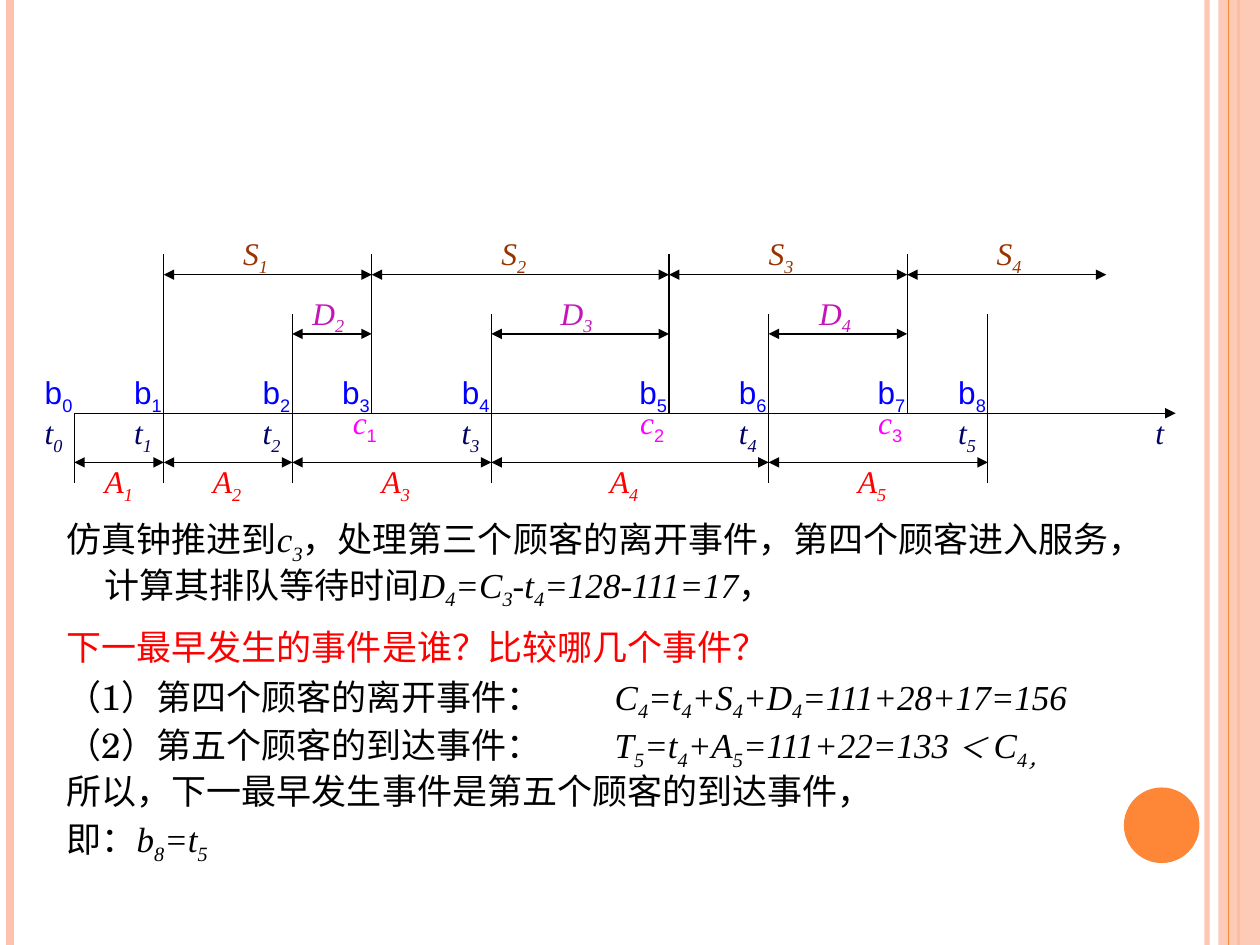
from pptx import Presentation
from pptx.dml.color import RGBColor
from pptx.enum.shapes import MSO_CONNECTOR, MSO_SHAPE
from pptx.enum.text import MSO_AUTO_SIZE
from pptx.oxml.ns import qn
from pptx.util import Inches, Pt
from lxml.etree import SubElement

SERIF, CJK, SANS = "Times New Roman", "TeX Gyre Schola", "Arial"
PEACH, ORANGE, BLACK, RED = "FEC3AE", "FE8637", "000000", "FF0000"


def rgb(value):
    return RGBColor.from_string(value)


def set_alpha(fill, percent):
    color = fill._xPr.find(qn("a:solidFill"))[0]
    SubElement(color, qn("a:alpha"), val=str(percent * 1000))


def split_subscripts(text):
    """Yield (text, is_subscript); an underscore lowers the next character."""
    first, *rest = text.split("_")
    pieces = [(first, False)]
    for part in rest:
        pieces += [(part[0], True), (part[1:], False)]
    return [piece for piece in pieces if piece[0]]


class Diagram:
    # letter: colour, letter font, subscript font, box width
    LABELS = {
        "b": ("0000FF", SANS, SANS, 0.31),
        "t": ("000066", SERIF, SERIF, 0.24),
        "c": ("FF00FF", SERIF, SANS, 0.24),
        "A": (RED, SERIF, SERIF, 0.24),
        "S": ("993300", SERIF, SERIF, 0.24),
        "D": ("C416B8", SERIF, SERIF, 0.31),
    }

    def __init__(self, slide):
        self.slide = slide

    def line(self, x1, y1, x2, y2, color=BLACK, width=0.75, heads=(), opacity=100):
        s = self.slide.shapes.add_connector(
            MSO_CONNECTOR.STRAIGHT, Inches(x1), Inches(y1), Inches(x2), Inches(y2))
        s.line.color.rgb = rgb(color)
        s.line.width = Pt(width)
        if opacity < 100:
            set_alpha(s.line.fill, opacity)
        for head in heads:
            SubElement(s.line._get_or_add_ln(), qn("a:" + head), type="triangle")
        SubElement(s._element.spPr, qn("a:effectLst"))

    def span(self, x1, x2, y):
        self.line(x1, y, x2, y, heads=("headEnd", "tailEnd"))

    def shape(self, kind, x, y, w, h, color, opacity=100):
        s = self.slide.shapes.add_shape(kind, Inches(x), Inches(y), Inches(w), Inches(h))
        s.shadow.inherit = False
        s.fill.solid()
        s.fill.fore_color.rgb = rgb(color)
        s.line.fill.background()
        if opacity < 100:
            set_alpha(s.fill, opacity)

    def text_frame(self, x, y, w, h):
        s = self.slide.shapes.add_textbox(Inches(x), Inches(y), Inches(w), Inches(h))
        s.text_frame.word_wrap = True
        return s.text_frame

    def run(self, p, text, size, font, color, italic, lowered):
        r = p.add_run()
        r.text = text
        r.font.size = Pt(size)
        r.font.name = font
        r.font.italic = italic
        r.font.color.rgb = rgb(color)
        if lowered:
            r._r.get_or_add_rPr().set("baseline", "-25000")

    def label(self, text, x, y):
        color, font, sub_font, width = self.LABELS[text[0]]
        tf = self.text_frame(x, y, width, 0.34)
        tf.margin_left = tf.margin_right = tf.margin_top = tf.margin_bottom = 0
        tf.auto_size = MSO_AUTO_SIZE.SHAPE_TO_FIT_TEXT
        for piece, lowered in split_subscripts(text):
            name = sub_font if lowered else font
            self.run(tf.paragraphs[0], piece, 18, name, color, name == SERIF, lowered)

    def body(self, x, y, w, h, paragraphs):
        """Write paragraphs of text in which $...$ encloses a formula."""
        tf = self.text_frame(x, y, w, h)
        for i, (text, color, spacing, before) in enumerate(paragraphs):
            p = tf.add_paragraph() if i else tf.paragraphs[0]
            p.line_spacing = spacing
            p.space_before = Pt(before)
            pPr = p._p.get_or_add_pPr()
            if "\t" in text:
                tabs = SubElement(pPr, qn("a:tabLst"))
                SubElement(tabs, qn("a:tab"), pos=str(Inches(4.35)), algn="l")
            else:
                pPr.set("marL", str(Inches(0.3)))
                pPr.set("indent", str(Inches(-0.3)))
            for j, part in enumerate(text.split("$")):
                formula = j % 2 == 1
                less = part == "＜"
                font = SERIF if formula or less else CJK
                for piece, lowered in split_subscripts(part):
                    self.run(p, piece, 16 if less else 20, font, color,
                             formula or less, lowered)


def draw_frame(d):
    d.line(9.58, 0, 9.58, 7.5, PEACH, 3, opacity=93)
    d.line(0.08, 0, 0.08, 7.5, PEACH, 4.5)
    d.line(9.83, 0, 9.83, 7.5, ORANGE, 1.5)
    d.shape(MSO_SHAPE.RECTANGLE, 9.67, 0, 0.33, 7.5, PEACH, 87)
    d.line(9.75, 0, 9.75, 7.5, ORANGE, 0.75)
    d.shape(MSO_SHAPE.OVAL, 8.92, 6.25, 0.6, 0.6, ORANGE)


def draw_timeline(d):
    axis, bottom, service_top, delay_top = 3.28, 3.83, 2.02, 2.49
    service_y, delay_y, arrival_y = 2.18, 2.65, 3.67
    offset = 0.235
    arrivals = [0.59, 1.3, 2.32, 3.9, 6.1, 7.84]
    departures = [2.95, 5.31, 7.2]

    d.line(arrivals[0], axis, 9.33, axis, heads=("tailEnd",))
    tops = [axis, service_top] + [delay_top] * 4
    for i, (x, top) in enumerate(zip(arrivals, tops)):
        d.line(x, top, x, bottom)
        d.label(f"t_{i}", x - offset, axis)
    for i, (x, label_x) in enumerate(zip(departures, [2.8, 5.08, 6.97]), 1):
        d.line(x, service_top, x, axis)
        d.label(f"c_{i}", label_x, 3.2)
    for i, x in enumerate(sorted(arrivals + departures)):
        d.label(f"b_{i}", x - offset, 2.96)
    d.label("t", 9.17, axis)

    services = [arrivals[1], *departures, 8.78]
    groups = [
        ("S", 1, zip(services, services[1:]), service_y, 1.86, [1.93, 3.98, 6.1, 7.91]),
        ("D", 2, zip(arrivals[2:], departures), delay_y, 2.33, [2.48, 4.45, 6.5]),
        ("A", 1, zip(arrivals, arrivals[1:]), arrival_y, 3.67,
         [0.83, 1.69, 3.03, 4.84, 6.81]),
    ]
    for letter, first, spans, y, label_y, label_xs in groups:
        for i, ((x1, x2), label_x) in enumerate(zip(spans, label_xs), first):
            d.span(x1, x2, y)
            d.label(f"{letter}_{i}", label_x, label_y)


def main():
    prs = Presentation()
    prs.slide_width, prs.slide_height = Inches(10), Inches(7.5)
    d = Diagram(prs.slides.add_slide(prs.slide_layouts[6]))
    draw_frame(d)
    d.body(0.43, 4.06, 9, 2.99, [
        ("仿真钟推进到$c_3$，处理第三个顾客的离开事件，第四个顾客进入服务，"
         "计算其排队等待时间$D_4=C_3-t_4=128-111=17$，", BLACK, 0.95, 0),
        ("下一最早发生的事件是谁？比较哪几个事件？", RED, 0.95, 11.2),
        ("（1）第四个顾客的离开事件：\t$C_4=t_4+S_4+D_4=111+28+17=156$",
         BLACK, 0.7, 8.8),
        ("（2）第五个顾客的到达事件：\t$T_5=t_4+A_5=111+22=133 $＜$ C_4_，$",
         BLACK, 0.7, 8.8),
        ("所以，下一最早发生事件是第五个顾客的到达事件，", BLACK, 0.7, 8.8),
        ("即：$b_8=t_5$", BLACK, 0.7, 8.8),
    ])
    draw_timeline(d)
    prs.save("out.pptx")


if __name__ == "__main__":
    main()
